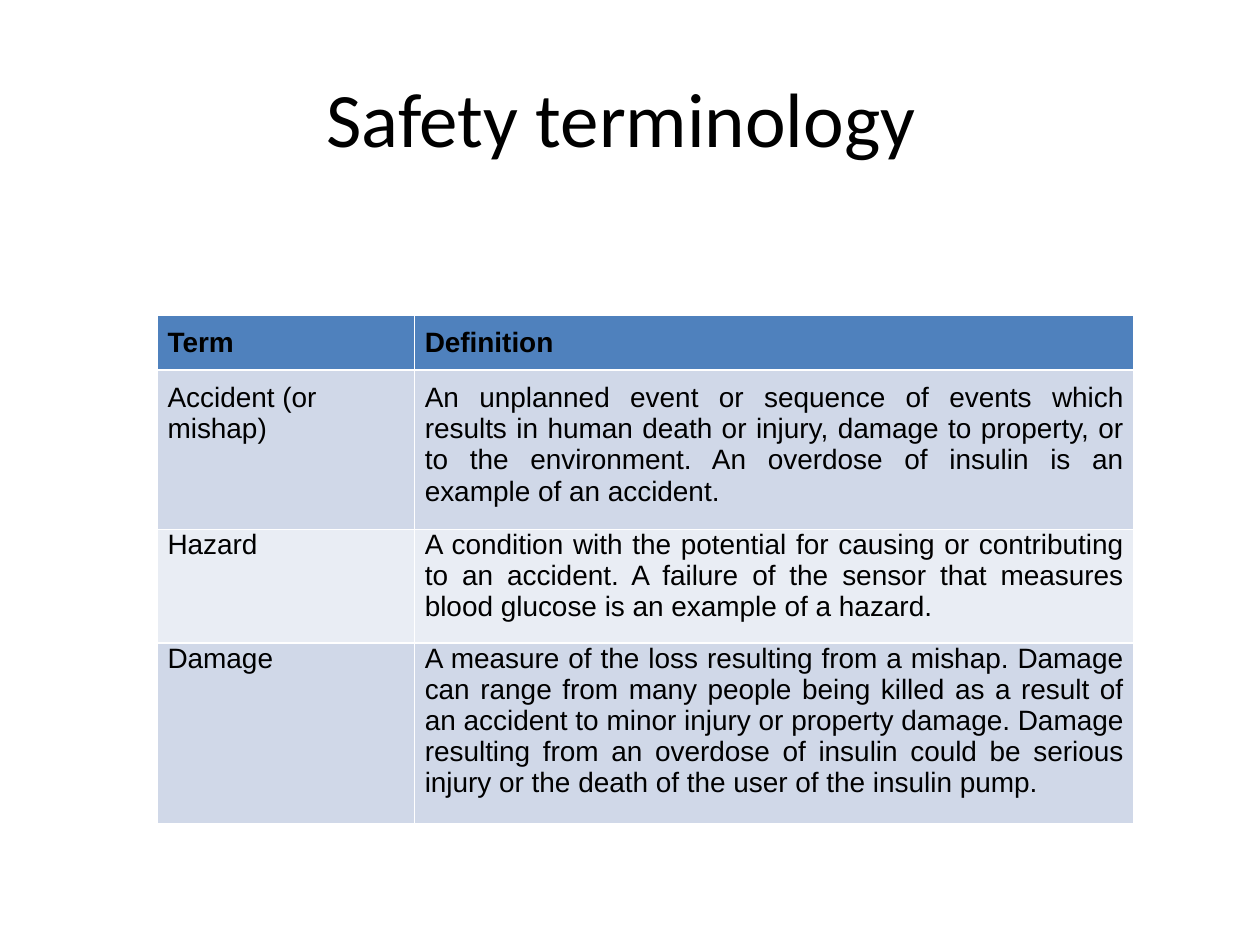
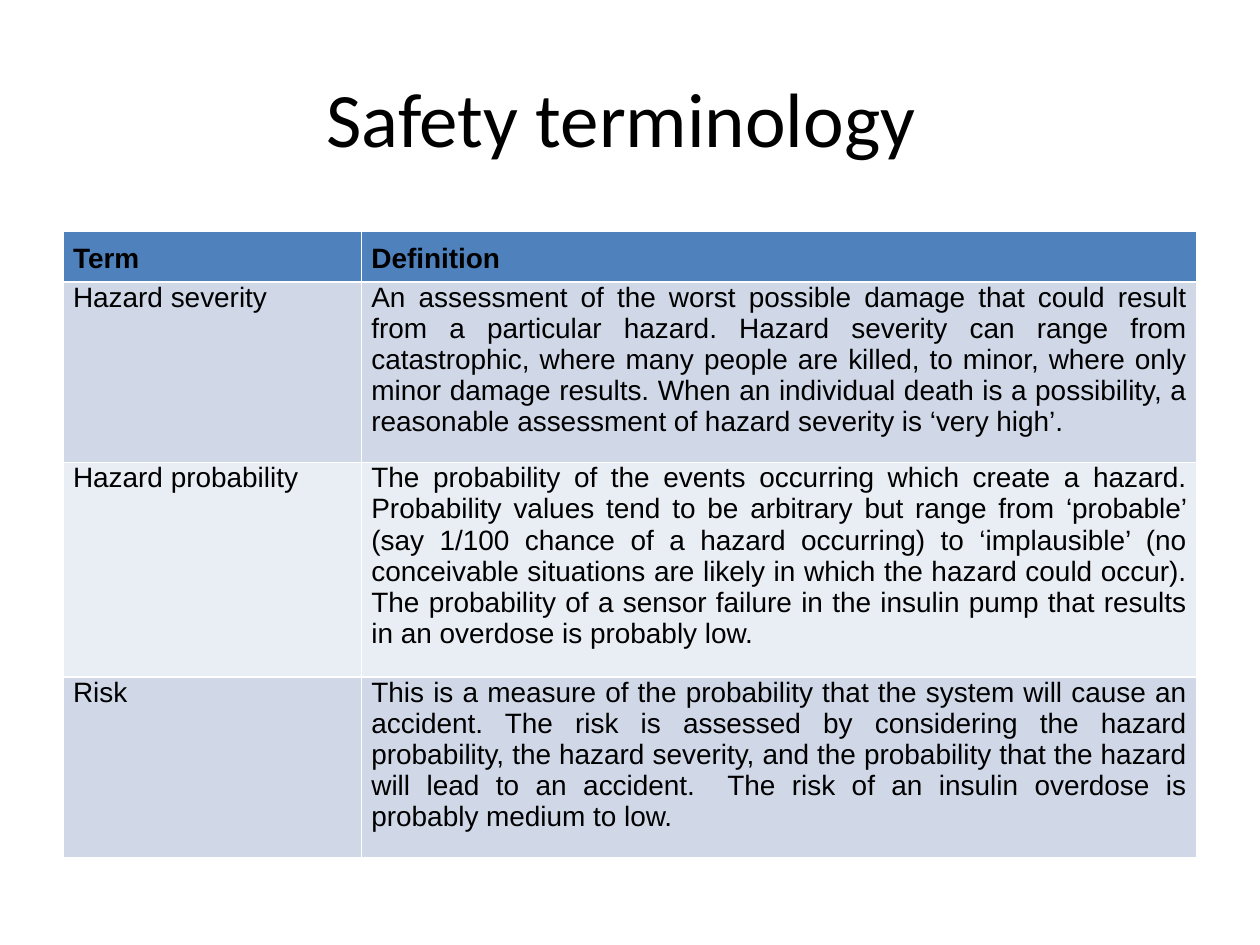
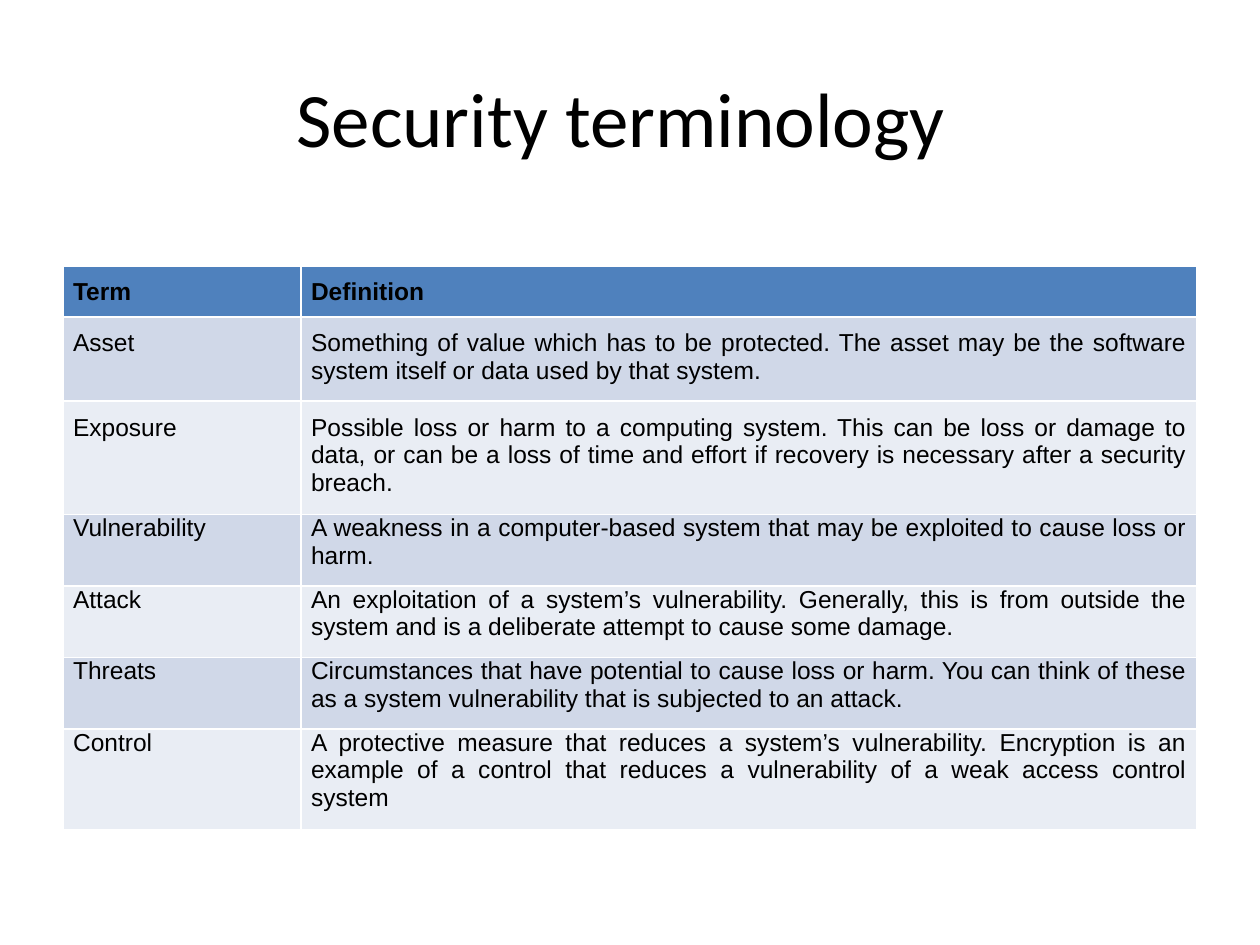
"""Builds three slides of safety and security terms, each a titled table."""
from dataclasses import dataclass

from lxml import etree
from pptx import Presentation
from pptx.dml.color import RGBColor
from pptx.enum.text import MSO_ANCHOR, PP_ALIGN
from pptx.oxml.ns import qn
from pptx.slide import Slide
from pptx.table import _Cell
from pptx.text.text import TextFrame
from pptx.util import Pt

MIDDLE = MSO_ANCHOR.MIDDLE
LEFT, CENTER, JUSTIFY = PP_ALIGN.LEFT, PP_ALIGN.CENTER, PP_ALIGN.JUSTIFY

BLACK, WHITE = "000000", "FFFFFF"
HEADER_FILL = "4F81BD"
BANDS = ("D0D8E8", "E9EDF4")
TITLE_FONT, BODY_FONT = "Calibri", "Arial"
TITLE_SIZE = 44
SIDE_INSET, PAD = 5.76, 7.2
ROW_HEIGHT = 29.2
EDGES = ("lnL", "lnR", "lnT", "lnB")


@dataclass(frozen=True)
class Entry:
    """A term with its definition, its space above and its least row height."""
    term: str
    definition: str
    top: float = 0
    height: float = ROW_HEIGHT
    term_align: PP_ALIGN = JUSTIFY


@dataclass(frozen=True)
class TermSlide:
    """A title and the geometry, text size and entries of its table."""
    title: str
    left: float
    top: float
    widths: tuple[float, float]
    height: float
    size: float
    entries: tuple[Entry, ...]
    header_height: float = ROW_HEIGHT


SLIDES = (
    TermSlide("Safety terminology ", 90, 180, (147, 411), 310.4, 16, (
        Entry("Accident (or mishap)",
              "An unplanned event or sequence of events which results in human death or injury, "
              "damage to property, or to the environment. An overdose of insulin is an example "
              "of an accident.", PAD, 62.6, LEFT),
        Entry("Hazard",
              "A condition with the potential for causing or contributing to an accident. "
              "A failure of the sensor that measures blood glucose is an example of a hazard.",
              height=38.9),
        Entry("Damage",
              "A measure of the loss resulting from a mishap. Damage can range from many people "
              "being killed as a result of an accident to minor injury or property damage. Damage "
              "resulting from an overdose of insulin could be serious injury or the death of the "
              "user of the insulin pump.", height=70.6),
    ), 31.4),
    TermSlide("Safety terminology ", 36, 132, (170.5, 477.5), 357.8, 16, (
        Entry("Hazard severity",
              "An assessment of the worst possible damage that could result from a particular "
              "hazard. Hazard severity can range from catastrophic, where many people are killed, "
              "to minor, where only minor damage results. When an individual death is a "
              "possibility, a reasonable assessment of hazard severity is ‘very high’."),
        Entry("Hazard probability",
              "The probability of the events occurring which create a hazard. Probability values "
              "tend to be arbitrary but range from ‘probable’ (say 1/100 chance of a hazard "
              "occurring) to ‘implausible’ (no conceivable situations are likely in which the "
              "hazard could occur). The probability of a sensor failure in the insulin pump that "
              "results in an overdose is probably low."),
        Entry("Risk",
              "This is a measure of the probability that the system will cause an accident. The "
              "risk is assessed by considering the hazard probability, the hazard severity, and "
              "the probability that the hazard will lead to an accident.  The risk of an insulin "
              "overdose is probably medium to low."),
    )),
    TermSlide("Security terminology ", 36, 152, (136, 512), 321.8, 14, (
        Entry("Asset",
              "Something of value which has to be protected. The asset may be the software system "
              "itself or data used by that system.", PAD),
        Entry("Exposure",
              "Possible loss or harm to a computing system. This can be loss or damage to data, or "
              "can be a loss of time and effort if recovery is necessary after a security breach.",
              PAD),
        Entry("Vulnerability",
              "A weakness in a computer-based system that may be exploited to cause loss or harm."),
        Entry("Attack",
              "An exploitation of a system’s vulnerability. Generally, this is from outside the "
              "system and is a deliberate attempt to cause some damage."),
        Entry("Threats",
              "Circumstances that have potential to cause loss or harm. You can think of these as "
              "a system vulnerability that is subjected to an attack."),
        Entry("Control",
              "A protective measure that reduces a system’s vulnerability. Encryption is an "
              "example of a control that reduces a vulnerability of a weak access control system"),
    )),
)


def rgb(value: str) -> RGBColor:
    """Turn a hex string into a colour."""
    return RGBColor.from_string(value)


def add_text(tf: TextFrame, text: str, font: str, size: float, align: PP_ALIGN,
             bold: bool = False) -> None:
    """Write one run into the first paragraph."""
    p = tf.paragraphs[0]
    p.alignment = align
    r = p.add_run()
    r.text = text
    r.font.name = font
    r.font.size = Pt(size)
    r.font.bold = bold
    r.font.color.rgb = rgb(BLACK)


def add_title(s: Slide, text: str) -> None:
    """Place the centred slide title."""
    sp = s.shapes.add_textbox(Pt(36), Pt(21.6), Pt(648), Pt(90))
    tf = sp.text_frame
    tf.word_wrap = True
    tf.vertical_anchor = MIDDLE
    add_text(tf, text, TITLE_FONT, TITLE_SIZE, CENTER)


def set_borders(cell: _Cell) -> None:
    """Draw white edges around a cell."""
    tc_pr = cell._tc.get_or_add_tcPr()
    for edge in EDGES:
        ln = etree.SubElement(tc_pr, qn(f"a:{edge}"), w=str(Pt(1)))
        fill = etree.SubElement(ln, qn("a:solidFill"))
        etree.SubElement(fill, qn("a:srgbClr"), val=WHITE)


def fill_cell(cell: _Cell, text: str, size: float, fill: str, top: float, bottom: float,
              align: PP_ALIGN = JUSTIFY, bold: bool = False) -> None:
    """Set the margins, edges, fill and text of a cell."""
    cell.margin_left = cell.margin_right = Pt(SIDE_INSET)
    cell.margin_top, cell.margin_bottom = Pt(top), Pt(bottom)
    set_borders(cell)
    cell.fill.solid()
    cell.fill.fore_color.rgb = rgb(fill)
    add_text(cell.text_frame, text, BODY_FONT, size, align, bold)


def add_terms(s: Slide, spec: TermSlide) -> None:
    """Draw the table of terms and definitions."""
    heights = [spec.header_height] + [e.height for e in spec.entries]
    frame = s.shapes.add_table(len(heights), 2, Pt(spec.left), Pt(spec.top),
                               Pt(sum(spec.widths)), Pt(spec.height))
    table = frame.table
    table.first_row = table.horz_banding = False
    for column, width in zip(table.columns, spec.widths):
        column.width = Pt(width)
    for row, height in zip(table.rows, heights):
        row.height = Pt(height)
    frame.height = Pt(spec.height)
    for col, text in enumerate(("Term", "Definition")):
        fill_cell(table.cell(0, col), text, spec.size, HEADER_FILL, PAD, 0, bold=True)
    for i, e in enumerate(spec.entries):
        band = BANDS[i % 2]
        fill_cell(table.cell(i + 1, 0), e.term, spec.size, band, e.top, PAD, e.term_align)
        fill_cell(table.cell(i + 1, 1), e.definition, spec.size, band, e.top, PAD)


def main() -> None:
    """Build and save the slides."""
    prs = Presentation()
    prs.slide_width, prs.slide_height = Pt(720), Pt(540)
    for spec in SLIDES:
        s = prs.slides.add_slide(prs.slide_layouts[6])
        add_title(s, spec.title)
        add_terms(s, spec)
    prs.save("out.pptx")


if __name__ == "__main__":
    main()
